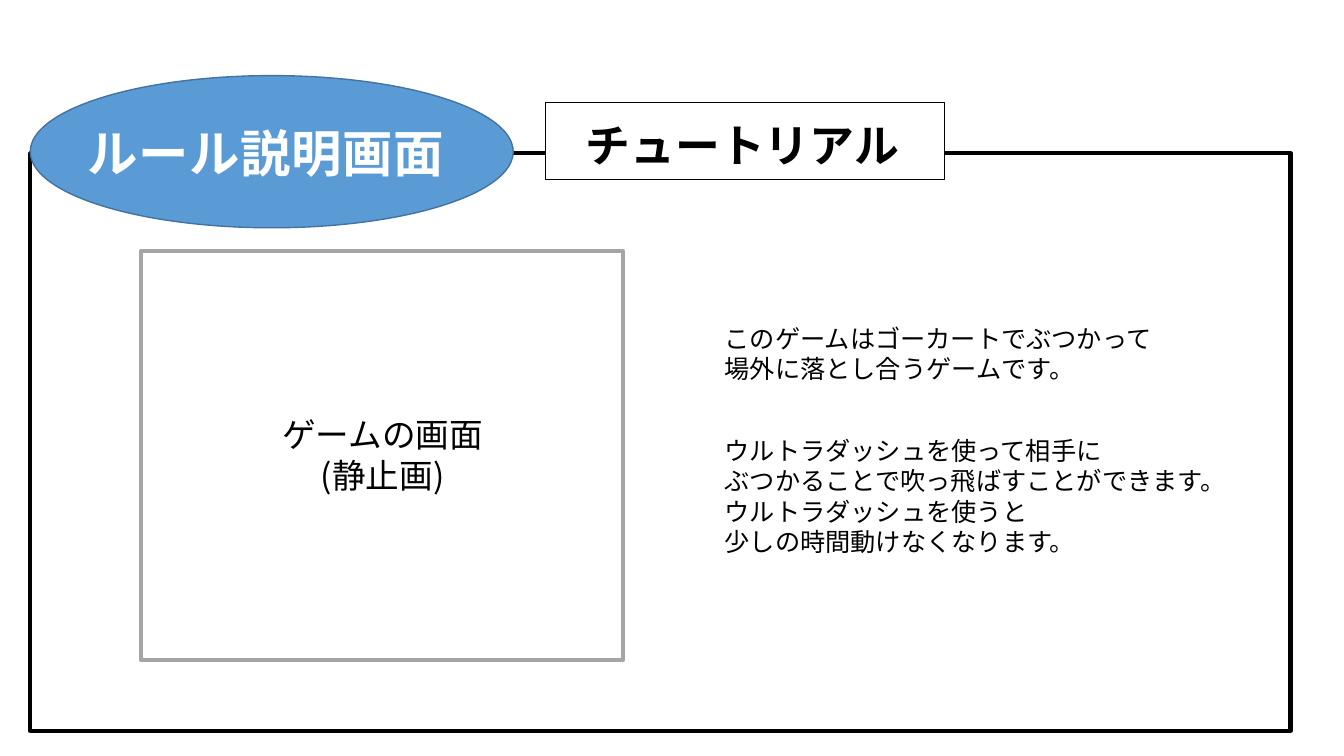
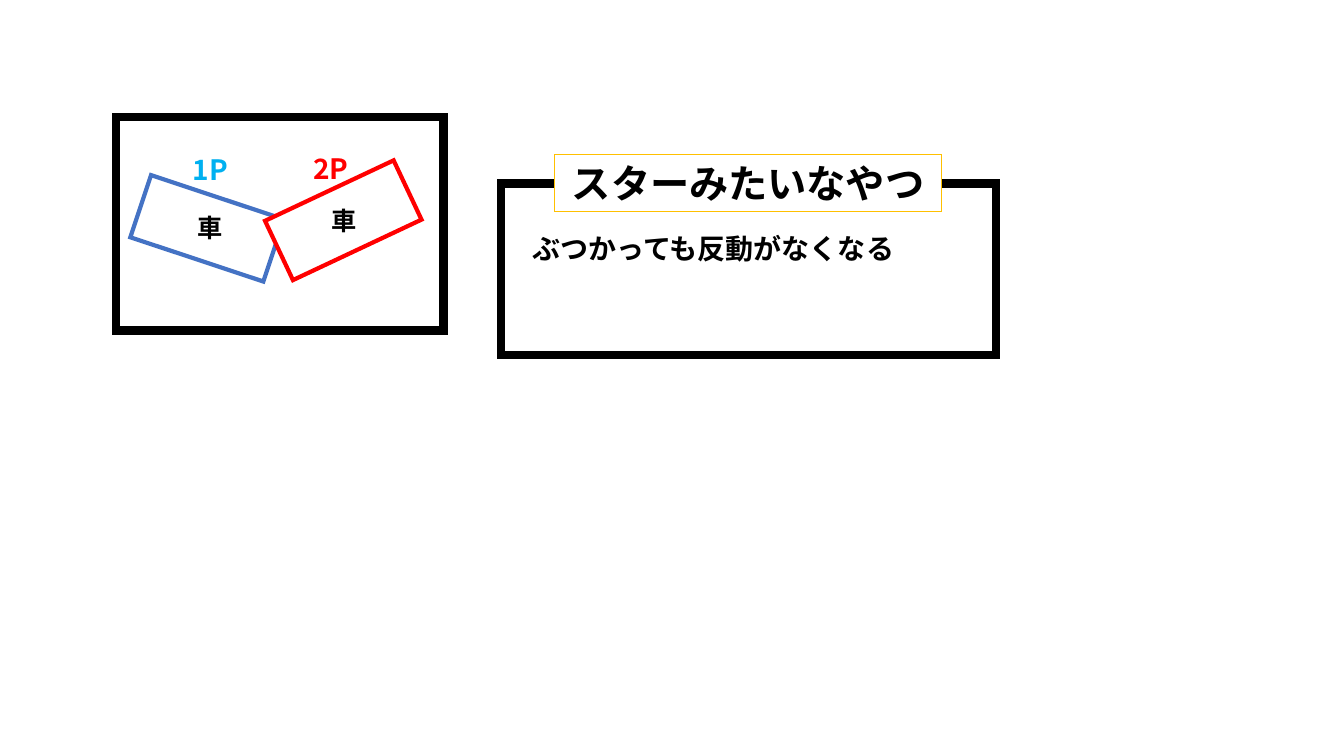
import pptx
import pptx.util
import pptx.dml.color
import pptx.enum.shapes
import pptx.enum.text
import pptx.oxml.ns
import lxml.etree

FONT = "Noto Sans CJK JP"
COLORS = {
    "black": "000000", "white": "FFFFFF", "soft white": "FEFEFE",
    "oval": "5B9BD5", "oval edge": "43739E", "gray": "A5A5A5",
    "blue": "4472C4", "sky": "00B0F0", "red": "FF0000", "gold": "FFC000",
}
SHAPES = pptx.enum.shapes.MSO_SHAPE
ALIGN = pptx.enum.text.PP_ALIGN
inches = pptx.util.Inches

# Each part: kind, (left, top, width, height), options; listed from back to front
RULES = [
    ("shape", (0.3, 1.52, 12.5, 5.73), dict(line="black", weight=3)),
    ("shape", (5.41, 1.02, 3.96, 0.76), dict(fill="white", line="black", weight=1)),
    ("text", (5.71, 1.12, 3.34, 0.64),
     dict(lines=["チュートリアル"], size=32, bold=True, wrap=False)),
    ("shape", (0.3, 0.75, 4.79, 1.51),
     dict(preset=SHAPES.OVAL, fill="oval", line="oval edge", weight=1)),
    ("text", (0.77, 1.16, 3.92, 0.71),
     dict(lines=["ルール説明画面"], size=36, bold=True, color="soft white", spacing=0.5)),
    ("shape", (1.4, 2.49, 4.78, 4.06), dict(line="gray", weight=3)),
    ("text", (2.29, 4.06, 3.01, 0.91),
     dict(lines=["ゲームの画面", "(静止画)"], size=24, align=ALIGN.CENTER)),
    ("text", (7.09, 3.16, 4.53, 0.71),
     dict(lines=["このゲームはゴーカートでぶつかって", "場外に落とし合うゲームです。"])),
    ("text", (7.09, 4.27, 5.14, 1.31),
     dict(lines=["ウルトラダッシュを使って相手に",
                 "ぶつかることで吹っ飛ばすことができます。",
                 "ウルトラダッシュを使うと",
                 "少しの時間動けなくなります。"])),
]

CAR = dict(fill="white", weight=3, miter=True)
CAR_LABEL = dict(lines=["車"], bold=True, align=ALIGN.CENTER)
PLAYER = dict(size=20, bold=True, align=ALIGN.CENTER)
FRAME = dict(line="black", weight=6, miter=True)
STAR_ITEM = [
    ("shape", (1.36, 1.94, 1.39, 0.65), dict(CAR, line="blue", rotation=18.4)),
    ("text", (1.77, 2.06, 0.63, 0.4), CAR_LABEL),
    ("shape", (2.7, 1.86, 1.41, 0.65), dict(CAR, line="red", rotation=334.8)),
    ("text", (3.09, 1.99, 0.64, 0.4), CAR_LABEL),
    ("text", (1.65, 1.46, 0.87, 0.44), dict(PLAYER, lines=["1P"], color="sky")),
    ("text", (2.84, 1.45, 0.88, 0.44), dict(PLAYER, lines=["2P"], color="red")),
    ("shape", (1.15, 1.16, 3.25, 2.12), FRAME),
    ("text", (5.18, 2.25, 3.95, 0.44),
     dict(lines=["ぶつかっても反動がなくなる"], size=20, bold=True)),
    ("shape", (4.97, 1.82, 4.91, 1.7), FRAME),
    ("shape", (5.5, 1.53, 3.84, 0.57),
     dict(fill="white", line="gold", weight=0.75, miter=True,
          label=dict(lines=["スターみたいなやつ"], size=28, bold=True,
                     align=ALIGN.CENTER))),
]


def rgb(name):
    return pptx.dml.color.RGBColor.from_string(COLORS[name])


def write(box, lines, size=18, bold=False, color="black", align=ALIGN.LEFT,
          wrap=True, spacing=0):
    frame = box.text_frame
    frame.word_wrap = wrap
    frame.auto_size = pptx.enum.text.MSO_AUTO_SIZE.SHAPE_TO_FIT_TEXT
    frame.vertical_anchor = pptx.enum.text.MSO_ANCHOR.TOP
    for index, line in enumerate(lines):
        para = frame.add_paragraph() if index else frame.paragraphs[0]
        para.alignment = align
        span = para.add_run()
        span.text = line
        font = span.font
        font.name, font.size, font.bold = FONT, pptx.util.Pt(size), bold
        font.color.rgb = rgb(color)
        properties = span._r.get_or_add_rPr()
        properties.set("lang", "ja-JP")
        if spacing:
            properties.set("spc", str(round(spacing * 100)))
        # East Asian letters take their typeface from a:ea
        lxml.etree.SubElement(properties, pptx.oxml.ns.qn("a:ea"), typeface=FONT)


def add_text(page, place, **style):
    write(page.shapes.add_textbox(*map(inches, place)), **style)


def add_shape(page, place, line, weight, fill=None, preset=SHAPES.RECTANGLE,
              rotation=0, miter=False, label=None):
    box = page.shapes.add_shape(preset, *map(inches, place))
    box.shadow.inherit = False
    box.rotation = rotation
    if fill:
        box.fill.solid()
        box.fill.fore_color.rgb = rgb(fill)
    else:
        box.fill.background()
    box.line.color.rgb = rgb(line)
    box.line.width = pptx.util.Pt(weight)
    if miter:
        edge = box._element.spPr.find(pptx.oxml.ns.qn("a:ln"))
        lxml.etree.SubElement(edge, pptx.oxml.ns.qn("a:miter"), lim="800000")
    if label:
        write(box, **label)


def main():
    deck = pptx.Presentation()
    deck.slide_width, deck.slide_height = inches(13.33), inches(7.5)
    builders = {"shape": add_shape, "text": add_text}
    for parts in (RULES, STAR_ITEM):
        page = deck.slides.add_slide(deck.slide_layouts[6])
        for kind, place, options in parts:
            builders[kind](page, place, **options)
    deck.save("out.pptx")


if __name__ == "__main__":
    main()
